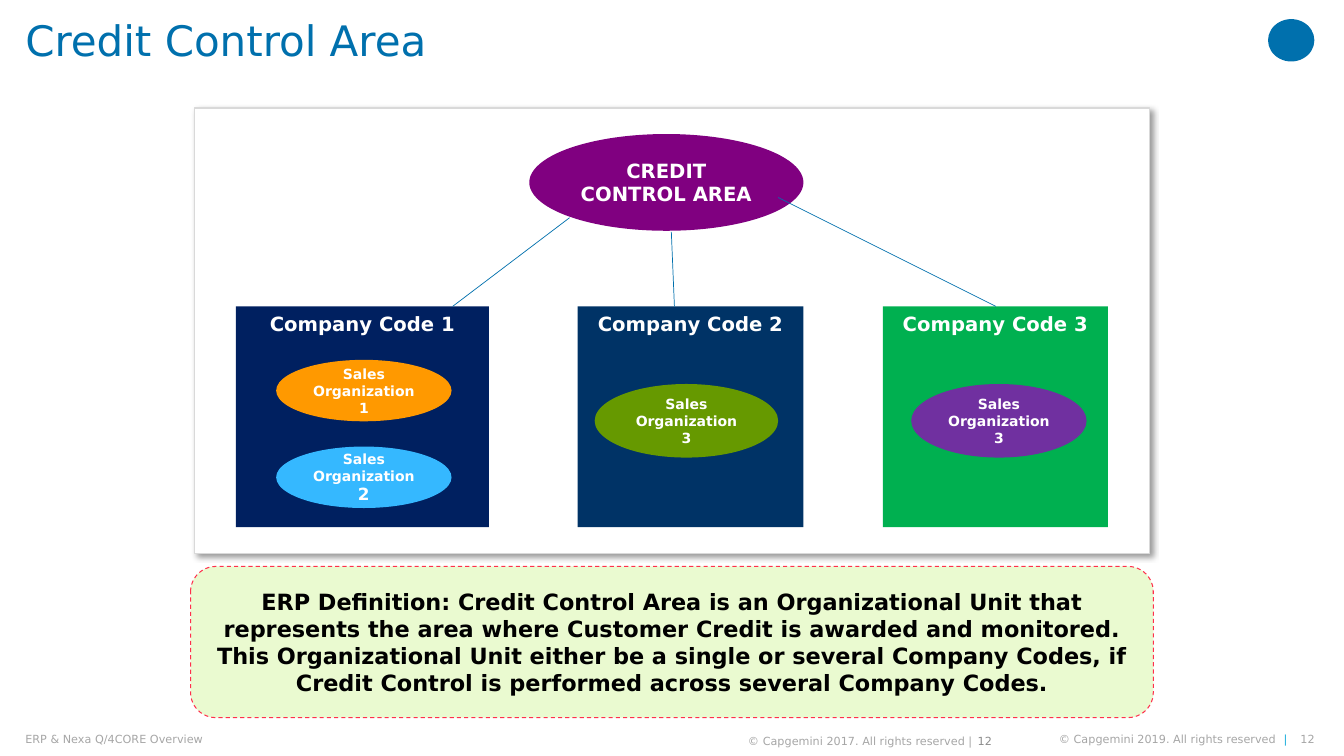
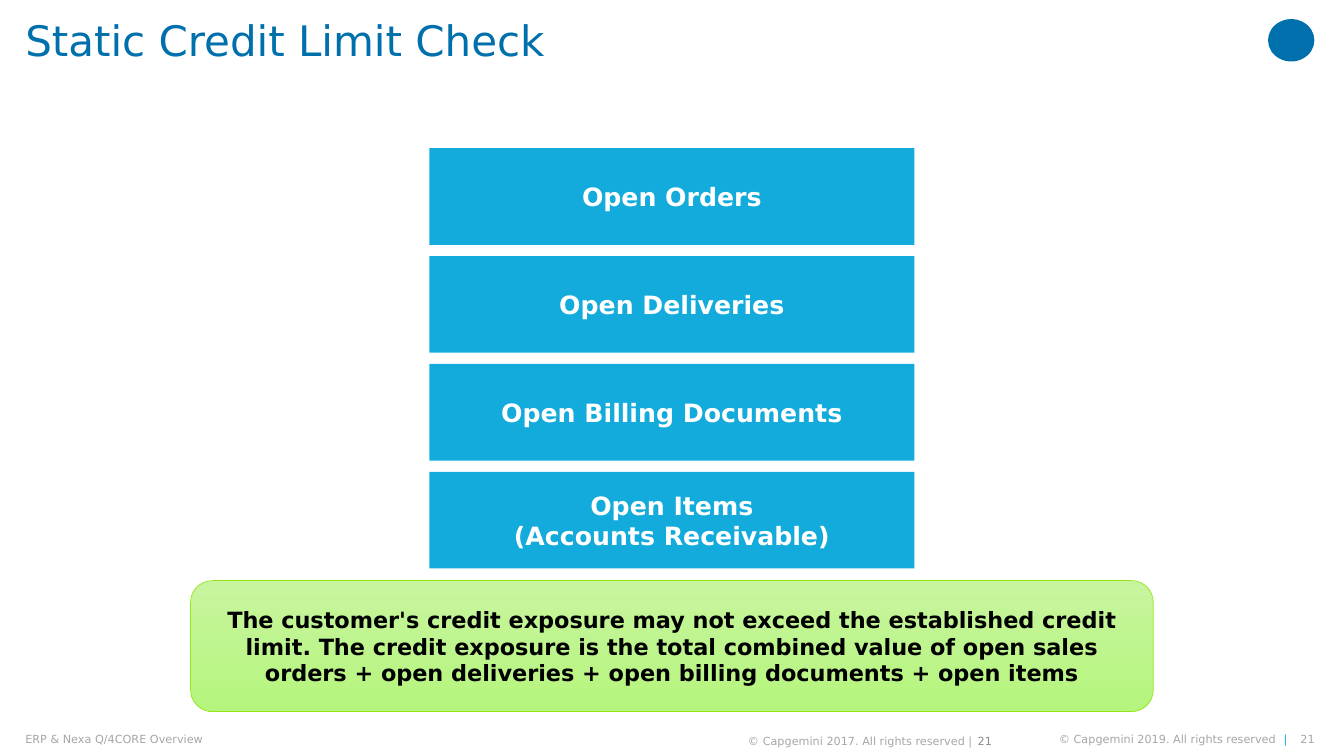
"""Build two slides on credit control with a shared title and footer."""
from lxml import etree
from pptx import Presentation
from pptx.dml.color import RGBColor as RGB
from pptx.enum.dml import MSO_LINE
from pptx.enum.shapes import MSO_CONNECTOR, MSO_SHAPE as SHAPE
from pptx.enum.text import MSO_ANCHOR as ANCHOR, PP_ALIGN as ALIGN
from pptx.oxml import parse_xml
from pptx.oxml.ns import nsdecls, qn
from pptx.util import Inches, Pt

FONT = "DejaVu Sans"
WHITE = RGB(0xFF, 0xFF, 0xFF)
BLACK = RGB(0x00, 0x00, 0x00)
BLUE = RGB(0x00, 0x70, 0xAD)
CYAN = RGB(0x12, 0xAB, 0xDB)
GRAY = RGB(0xA6, 0xA6, 0xA6)
DARK_GRAY = RGB(0x8C, 0x8C, 0x8C)
PANEL_EDGE = RGB(0xD9, 0xD9, 0xD9)
NAVY = RGB(0x00, 0x20, 0x60)
DEEP_BLUE = RGB(0x00, 0x33, 0x66)
GREEN = RGB(0x00, 0xB0, 0x50)
PURPLE = RGB(0x80, 0x00, 0x80)
VIOLET = RGB(0x70, 0x30, 0xA0)
ORANGE = RGB(0xFF, 0x99, 0x00)
SKY = RGB(0x35, 0xB8, 0xFF)
OLIVE = RGB(0x66, 0x99, 0x00)
PALE_GREEN = RGB(0xEA, 0xFA, 0xD0)
RED = RGB(0xFF, 0x30, 0x4C)
LIME_TOP = RGB(0xC7, 0xF5, 0x9F)
LIME_BOTTOM = RGB(0xB5, 0xF5, 0x7D)
LIME_EDGE = RGB(0x95, 0xE6, 0x16)

prs = Presentation()
prs.slide_width, prs.slide_height = Inches(13.33), Inches(7.5)
COL, ROW = prs.slide_width / 100, prs.slide_height / 100


def put(s, kind, at, fill=None, text="", size=8, color=WHITE, bold=True,
        align=ALIGN.CENTER, anchor=ANCHOR.MIDDLE, inset=0.75):
    """Place a shape, or a text box if kind is None, on the 100 by 100 grid."""
    x, y, w, h = (int(n * unit) for n, unit in zip(at, (COL, ROW, COL, ROW)))
    if kind is None:
        sp = s.shapes.add_textbox(x, y, w, h)
    else:
        sp = s.shapes.add_shape(kind, x, y, w, h)
        sp.shadow.inherit = False
        sp.line.fill.background()
        if fill is not None:
            sp.fill.solid()
            sp.fill.fore_color.rgb = fill
    tf = sp.text_frame
    tf.word_wrap = True
    tf.vertical_anchor = anchor
    tf.margin_left = tf.margin_right = int(inset * COL)
    tf.margin_top = tf.margin_bottom = int(min(inset, 0.67) * ROW)
    if text:
        tf.text = text
        for p in tf.paragraphs:
            p.alignment = align
            for r in p.runs:
                r.font.name, r.font.size = FONT, Pt(size)
                r.font.bold, r.font.color.rgb = bold, color
    return sp


def link(s, x1, y1, x2, y2):
    """Draw a thin line between two grid points."""
    c = s.shapes.add_connector(MSO_CONNECTOR.STRAIGHT, int(x1 * COL), int(y1 * ROW),
                               int(x2 * COL), int(y2 * ROW))
    c.line.color.rgb, c.line.width = BLUE, Pt(0.5)
    etree.SubElement(c._element.spPr, qn("a:effectLst"))


slides = []
for title, number in (("Credit Control Area", "12"), ("Static Credit Limit Check", "21")):
    s = prs.slides.add_slide(prs.slide_layouts[6])
    slides.append(s)
    put(s, SHAPE.OVAL, (94.35, 2.53, 3.45, 5.6), BLUE)
    sp = put(s, None, (1.88, 0, 91.3, 10.53), None, title, 30, BLUE, False,
             ALIGN.LEFT, ANCHOR.TOP, 0)
    sp.text_frame.margin_top = int(2.67 * ROW)
    sp.text_frame.paragraphs[0].line_spacing = 0.9
    for x, y, w, text, color, align in (
        (1.88, 96.93, 38.7, "ERP & Nexa Q/4CORE Overview", GRAY, ALIGN.LEFT),
        (54.3, 97.2, 18.08, "© Capgemini 2017. All rights reserved |", GRAY, ALIGN.RIGHT),
        (71.48, 97.2, 2.33, number, DARK_GRAY, ALIGN.RIGHT),
        (96.4, 96.93, 1.43, number, GRAY, ALIGN.RIGHT),
        (73.95, 96.93, 21.83, "© Capgemini 2019. All rights reserved  ", GRAY, ALIGN.RIGHT),
    ):
        sp = put(s, None, (x, y, w, 1.73), None, text, 8, color, False, align, inset=0)
    r = sp.text_frame.paragraphs[0].add_run()
    r.text = "|"
    r.font.name, r.font.size, r.font.color.rgb = FONT, Pt(8), CYAN

s = slides[0]
panel = put(s, SHAPE.RECTANGLE, (14.48, 14.27, 71.03, 58.93), WHITE)
panel.line.color.rgb, panel.line.width = PANEL_EDGE, Pt(1)
panel._element.spPr.find(qn("a:effectLst")).append(parse_xml(
    f'<a:outerShdw {nsdecls("a")} blurRad="{Pt(4)}" dist="{Pt(3)}" dir="2700000" '
    'algn="tl" rotWithShape="0"><a:srgbClr val="000000"><a:alpha val="40000"/>'
    '</a:srgbClr></a:outerShdw>'))

definition = put(
    s, SHAPE.ROUNDED_RECTANGLE, (14.18, 74.93, 71.63, 20), PALE_GREEN,
    "ERP Definition: Credit Control Area is an Organizational Unit that represents "
    "the area where Customer Credit is awarded and monitored. This Organizational Unit "
    "either be a single or several Company Codes, if Credit Control is performed across "
    "several Company Codes.", 16, BLACK, inset=0.6)
definition.line.color.rgb, definition.line.width = RED, Pt(0.75)
definition.line.dash_style = MSO_LINE.DASH

TOP = 40.53
for number, x, w, fill in ((1, 17.55, 18.83, NAVY), (2, 42.98, 16.8, DEEP_BLUE),
                           (3, 65.7, 16.73, GREEN)):
    put(s, SHAPE.RECTANGLE, (x, TOP, w, 29.2), fill, f"Company Code {number}", 14,
        anchor=ANCHOR.TOP)

link(s, 42.38, 28.8, 33.68, TOP)
link(s, 49.95, 30.67, 50.18, TOP)
put(s, SHAPE.OVAL, (39.38, 17.73, 20.4, 12.8), PURPLE, "CREDIT CONTROL AREA", 14)
link(s, 74.1, TOP, 57.9, 26.13)

for number, at, fill, size in (
    (1, (20.55, 47.6, 13.05, 8.13), ORANGE, 10),
    (2, (20.55, 59.07, 13.05, 8.13), SKY, 12),
    (3, (44.25, 50.8, 13.65, 9.73), OLIVE, 10),
    (3, (67.8, 50.8, 13.05, 9.73), VIOLET, 10),
):
    sp = put(s, SHAPE.OVAL, at, fill, "Sales Organization ", 10)
    r = sp.text_frame.paragraphs[0].add_run()
    r.text = str(number)
    r.font.name, r.font.size, r.font.bold, r.font.color.rgb = FONT, Pt(size), True, WHITE

s = slides[1]
for i, text in enumerate(("Open Orders", "Open Deliveries", "Open Billing Documents",
                          "Open Items\v(Accounts Receivable)")):
    put(s, SHAPE.RECTANGLE, (31.95, 19.6 + 14.27 * i, 36.08, 12.8), CYAN, text, 18)

exposure = put(
    s, SHAPE.ROUNDED_RECTANGLE, (14.18, 76.8, 71.63, 17.33), None,
    "The customer's credit exposure may not exceed the established credit limit. The "
    "credit exposure is the total combined value of open sales orders + open deliveries "
    "+ open billing documents + open items", 16, BLACK, inset=0.6)
exposure.fill.gradient()
exposure.fill.gradient_angle = 270
for stop, color in zip(exposure.fill.gradient_stops, (LIME_TOP, LIME_BOTTOM)):
    stop.color.rgb = color
exposure.line.color.rgb, exposure.line.width = LIME_EDGE, Pt(0.5)

prs.save("out.pptx")
